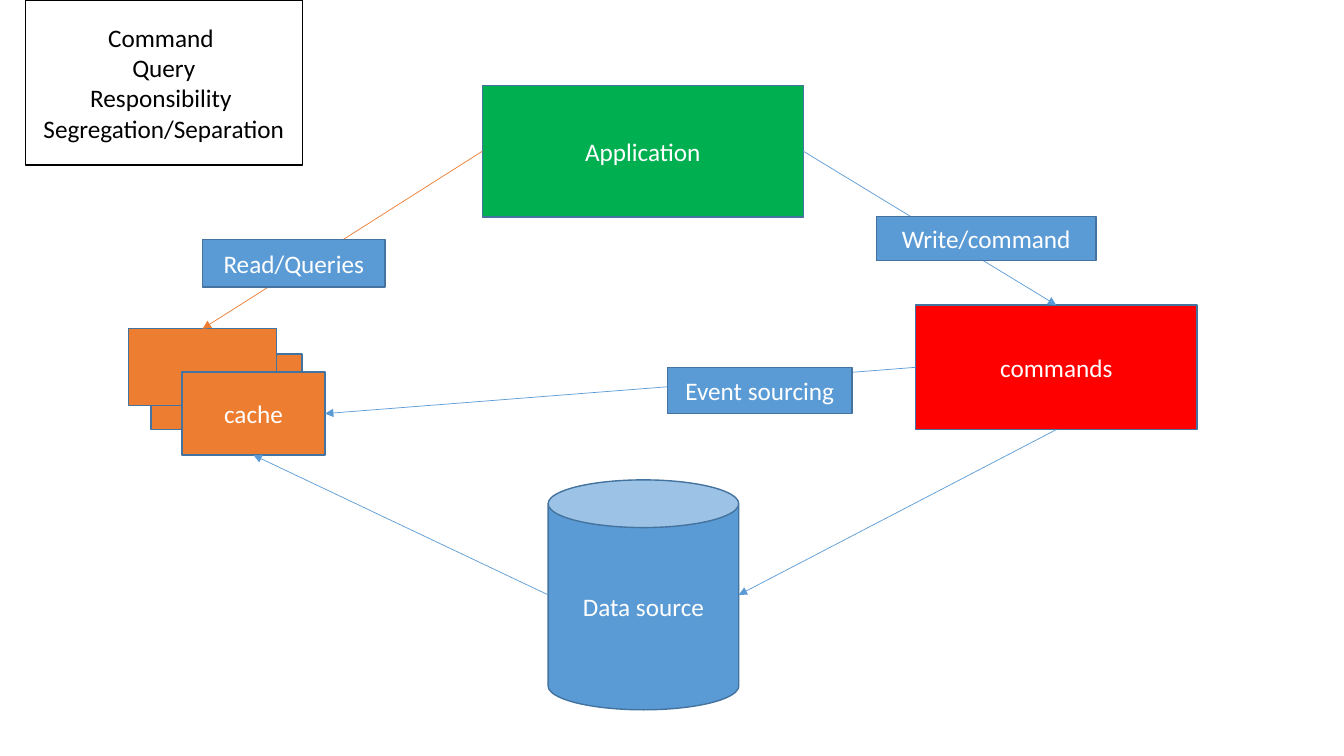
from collections import namedtuple
from dataclasses import dataclass

from lxml import etree
from pptx import Presentation
from pptx.dml.color import RGBColor
from pptx.enum.shapes import MSO_CONNECTOR, MSO_SHAPE
from pptx.enum.text import MSO_ANCHOR, PP_ALIGN
from pptx.oxml.ns import qn
from pptx.util import Pt

RECTANGLE = MSO_SHAPE.RECTANGLE
CAN = MSO_SHAPE.CAN
STRAIGHT = MSO_CONNECTOR.STRAIGHT
MIDDLE = MSO_ANCHOR.MIDDLE
CENTER = PP_ALIGN.CENTER
TOP, LEFT, BOTTOM, RIGHT = range(4)

Box = namedtuple("Box", "left top width height")


@dataclass(frozen=True)
class Theme:
    font: str = "Calibri"
    text_size: float = 18
    outline_width: float = 1
    arrow_width: float = 0.5
    white: str = "FFFFFF"
    black: str = "000000"
    blue: str = "5B9BD5"
    outline: str = "43739E"
    orange: str = "ED7D31"
    green: str = "00B050"
    red: str = "FF0000"


THEME = Theme()


def rgb(color):
    return RGBColor.from_string(color)


def within(box, left, top, width, height):
    return Box(box.left + left, box.top + top, width, height)


def write_text(shape, text, color=THEME.white, size=THEME.text_size):
    frame = shape.text_frame
    frame.word_wrap = True
    frame.vertical_anchor = MIDDLE
    frame.text = text
    for paragraph in frame.paragraphs:
        paragraph.alignment = CENTER
        font = paragraph.font
        font.name = THEME.font
        font.size = Pt(size)
        font.color.rgb = rgb(color)


def add_block(slide, box, fill, text="", kind=RECTANGLE,
              outline=THEME.outline, color=THEME.white):
    shape = slide.shapes.add_shape(kind, *(Pt(length) for length in box))
    shape.shadow.inherit = False
    shape.fill.solid()
    shape.fill.fore_color.rgb = rgb(fill)
    shape.line.color.rgb = rgb(outline)
    shape.line.width = Pt(THEME.outline_width)
    if text:
        write_text(shape, text, color=color)
    return shape


def side_middle(shape, side):
    x = {LEFT: 0, RIGHT: shape.width}.get(side, shape.width // 2)
    y = {TOP: 0, BOTTOM: shape.height}.get(side, shape.height // 2)
    return shape.left + x, shape.top + y


def add_arrow(slide, source, source_side, target, target_side, color=THEME.blue):
    start = side_middle(source, source_side)
    end = side_middle(target, target_side)
    arrow = slide.shapes.add_connector(STRAIGHT, *start, *end)
    if source.auto_shape_type == RECTANGLE:
        arrow.begin_connect(source, source_side)
    if target.auto_shape_type == RECTANGLE:
        arrow.end_connect(target, target_side)
    arrow.line.color.rgb = rgb(color)
    arrow.line.width = Pt(THEME.arrow_width)
    line = arrow.line._get_or_add_ln()
    etree.SubElement(line, qn("a:tailEnd"), type="triangle")
    etree.SubElement(arrow._element.spPr, qn("a:effectLst"))


def add_cache_stack(slide, box):
    add_block(slide, within(box, 15.8, 18, 108, 54), THEME.orange)
    back = add_block(slide, within(box, 0, 0, 105.5, 55), THEME.orange)
    front = add_block(slide, within(box, 38, 31, 102.2, 59.3),
                      THEME.orange, "cache")
    return back, front


def add_flow_labels(slide, box):
    labels = (
        ("Read/Queries", 144.7, 171.2, 130.3, 33.8),
        ("Write/command", 625.9, 154.8, 157, 31.2),
        ("Event sourcing", 476.8, 262.5, 131.8, 33),
    )
    for text, *place in labels:
        add_block(slide, within(box, *place), THEME.blue, text)


def add_pattern_name(slide, box):
    text = "Command \nQuery\nResponsibility \nSegregation/Separation"
    add_block(slide, box, THEME.white, text,
              outline=THEME.black, color=THEME.black)


def add_diagram(slide, box):
    application = add_block(slide, within(box, 344.6, 61, 229.2, 94),
                            THEME.green, "Application")
    source = add_block(slide, within(box, 391.5, 342.8, 136.2, 164.2),
                       THEME.blue, "Data source", kind=CAN)
    cache_back, cache = add_cache_stack(slide, within(box, 92, 234.8, 140.2, 90.3))
    commands = add_block(slide, within(box, 654, 217.9, 201, 89),
                         THEME.red, "commands")

    add_arrow(slide, application, LEFT, cache_back, TOP, color=THEME.orange)
    add_arrow(slide, application, RIGHT, commands, TOP)
    add_arrow(slide, commands, BOTTOM, source, RIGHT)
    add_arrow(slide, commands, LEFT, cache, RIGHT)
    add_arrow(slide, source, LEFT, cache, BOTTOM)

    add_flow_labels(slide, box)
    add_pattern_name(slide, within(box, 18, 0, 198, 118))


def main():
    presentation = Presentation()
    page = Box(0, 0, 960, 540)
    presentation.slide_width = Pt(page.width)
    presentation.slide_height = Pt(page.height)
    slide = presentation.slides.add_slide(presentation.slide_layouts[6])
    add_diagram(slide, page)
    presentation.save("out.pptx")


if __name__ == "__main__":
    main()
